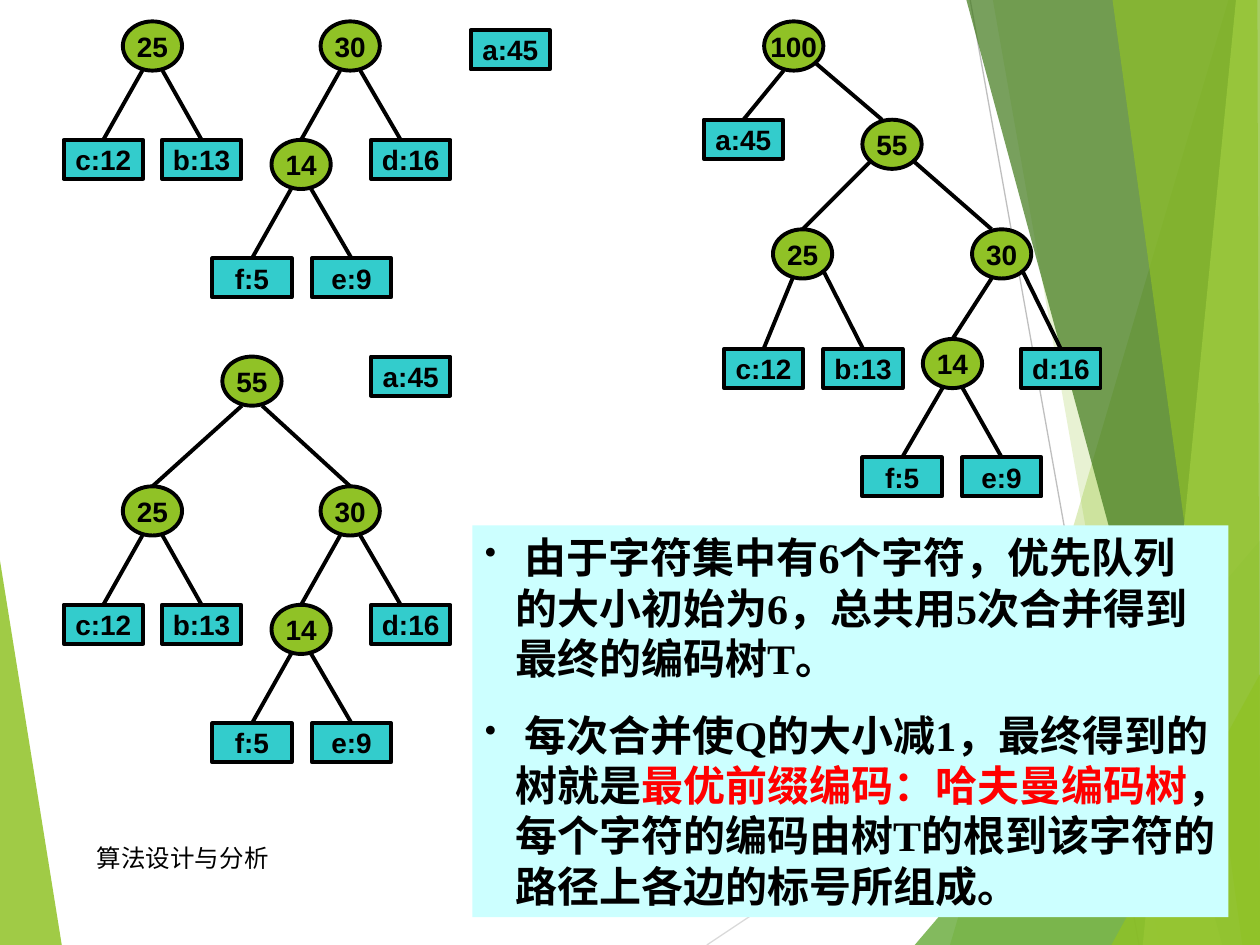
"""Build the Huffman coding slide: three merge stages and their explanation."""
from lxml import etree
from pptx import Presentation
from pptx import util as u
from pptx.dml import color as clr
from pptx.enum import shapes as sh, text as tx
from pptx.oxml import ns

Inches = u.Inches
COLORS = {
    "green": "90C226", "forest": "54A021", "moss": "3F7819", "lime": "C0E474",
    "teal": "33CCCC", "ice": "CCFFFF", "black": "000000", "red": "FF0000",
    "silver": "D9D9D9", "gray": "BFBFBF",
}
NODE_FONT = {"size": u.Pt(16), "name": "Arial", "bold": True}
NOTE_FONT = {"size": u.Pt(24), "name": "Times New Roman", "bold": True}
FOOTER_FONT = {"size": u.Pt(14), "name": "Times New Roman"}

prs = Presentation()
prs.slide_width, prs.slide_height = Inches(10), Inches(7.5)
canvas = prs.slides.add_slide(prs.slide_layouts[6]).shapes


def add_line(start, end, color, width):
    line = canvas.add_connector(sh.MSO_CONNECTOR.STRAIGHT, *map(Inches, start + end))
    line.line.color.rgb = clr.RGBColor.from_string(COLORS[color])
    line.line.width = u.Pt(width)
    etree.SubElement(line._element.spPr, ns.qn("a:effectLst"))


def add_run(paragraph, words, font, color="black"):
    run = paragraph.add_run()
    run.text = words
    for key, value in font.items():
        setattr(run.font, key, value)
    run.font.color.rgb = clr.RGBColor.from_string(COLORS[color])


facets = [
    ("green", 85, [(0, 4.45), (0.49, 7.5), (0, 7.5)]),
    ("green", 30, [(9.75, 0), (7.54, 7.5), (10, 7.5), (10, 0)]),
    ("green", 20, [(7.88, 0), (9.2, 7.5), (10, 7.5), (10, 0)]),
    ("forest", 72, [(7.26, 7.5), (10, 4.29), (10, 7.5)]),
    ("moss", 70, [(7.67, 0), (9.7, 7.5), (10, 7.5), (10, 0)]),
    ("lime", 70, [(9.81, 0), (9.07, 7.5), (10, 7.5), (10, 0)]),
    ("green", 65, [(8.83, 0), (9.86, 7.5), (10, 7.5), (9.98, 0)]),
    ("green", 80, [(8.82, 7.5), (10, 5.35), (10, 7.5)]),
]
for index, (color, opacity, corners) in enumerate(facets):
    if index == 1:
        add_line((5.61, 7.5), (10, 4.57), "silver", 0.75)
        add_line((7.7, 0), (9.04, 7.5), "gray", 0.75)
    first, *others = [(Inches(x), Inches(y)) for x, y in corners]
    outline = canvas.build_freeform(*first)
    outline.add_line_segments(others)
    facet = outline.convert_to_shape()
    facet.shadow.inherit = False
    facet.line.fill.background()
    facet.fill.solid()
    facet.fill.fore_color.rgb = clr.RGBColor.from_string(COLORS[color])
    tint = facet._element.spPr.find(".//" + ns.qn("a:srgbClr"))
    etree.SubElement(tint, ns.qn("a:alpha"), val=str(opacity * 1000))

footer = canvas.add_textbox(Inches(0.67), Inches(6.61), Inches(5.06), Inches(0.4)).text_frame
footer.word_wrap = True
footer.vertical_anchor = tx.MSO_ANCHOR.MIDDLE
add_run(footer.paragraphs[0], "算法设计与分析", FOOTER_FONT)

LEVEL = 0.94
pair = {
    "25": (1.21, 0), "30": (2.78, 0),
    "c:12": (0.82, LEVEL), "b:13": (1.6, LEVEL), "14": (2.39, LEVEL), "d:16": (3.26, LEVEL),
    "f:5": (2, 2 * LEVEL), "e:9": (2.79, 2 * LEVEL),
}
stages = [{label: (x, top + y) for label, (x, y) in pair.items()} for top in (0.17, 3.86)]
stages[0]["a:45"] = (4.05, 0.24)
stages[1].update({"a:45": (3.26, 2.83), "55": (2, 2.83)})
stages.append({
    "100": (6.3, 0.17), "a:45": (5.9, 0.95), "55": (7.08, 0.95),
    "25": (6.37, 1.82), "30": (7.95, 1.82),
    "c:12": (6.06, 2.77), "b:13": (6.85, 2.77), "14": (7.56, 2.69), "d:16": (8.42, 2.77),
    "f:5": (7.16, 3.63), "e:9": (7.95, 3.63),
})

JOINTS = {"foot": (0.08, 0.39, 0), "inner": (0.08, 0.39, -0.08),
          "side": (0.16, 0.32, 0), "slant": (0.16, 0.32, -0.08)}
shared = [("25", "c:12", "foot"), ("30", "14", "foot"), ("14", "f:5", "foot"), ("14", "e:9", "foot")]
early = shared + [("25", "b:13", "foot"), ("30", "d:16", "inner")]
branches = [
    early,
    early + [("55", "25", "foot"), ("55", "30", "foot")],
    shared + [("100", "a:45", "foot"), ("100", "55", "slant"), ("55", "25", "side"),
              ("55", "30", "slant"), ("25", "b:13", "side"), ("30", "d:16", "side")],
]

for nodes, edges in zip(stages, branches):
    for label, (x, top) in nodes.items():
        leaf = ":" in label
        kind = sh.MSO_SHAPE.RECTANGLE if leaf else sh.MSO_SHAPE.OVAL
        width, height = (0.63, 0.31) if leaf else (0.47, 0.39)
        node = canvas.add_shape(kind, *map(Inches, (x - width / 2, top, width, height)))
        node.shadow.inherit = False
        node.fill.solid()
        node.fill.fore_color.rgb = clr.RGBColor.from_string(COLORS["teal" if leaf else "green"])
        node.line.color.rgb = clr.RGBColor.from_string(COLORS["black"])
        node.line.width = u.Pt(2.25)
        node.text_frame.word_wrap = False
        node.text_frame.vertical_anchor = tx.MSO_ANCHOR.MIDDLE
        caption = node.text_frame.paragraphs[0]
        caption.alignment = tx.PP_ALIGN.CENTER
        add_run(caption, label, NODE_FONT)
    for parent, child, joint in edges:
        (px, py), (cx, cy) = nodes[parent], nodes[child]
        across, down, shift = JOINTS[joint]
        side = 1 if cx > px else -1
        add_line((px + side * across, py + down), (cx + shift, cy), "black", 2.25)

note = canvas.add_shape(sh.MSO_SHAPE.RECTANGLE, Inches(3.75), Inches(4.17), Inches(6), Inches(3.11))
note.shadow.inherit = False
note.fill.solid()
note.fill.fore_color.rgb = clr.RGBColor.from_string(COLORS["ice"])
note.line.fill.background()
note.text_frame.word_wrap = True
note.text_frame.vertical_anchor = tx.MSO_ANCHOR.TOP
remarks = [
    [(" 由于字符集中有6个字符，优先队列的大小初始为6，总共用5次合并得到最终的编码树T。", "black")],
    [(" 每次合并使Q的大小减1，最终得到的树就是", "black"),
     ("最优前缀编码：哈夫曼编码树", "red"),
     ("，每个字符的编码由树T的根到该字符的路径上各边的标号所组成。", "black")],
]
for index, remark in enumerate(remarks):
    point = note.text_frame.add_paragraph() if index else note.text_frame.paragraphs[0]
    point.alignment = tx.PP_ALIGN.LEFT
    if index:
        point.space_before = u.Pt(15)
    layout = point._p.get_or_add_pPr()
    layout.set("marL", str(Inches(0.24)))
    layout.set("indent", str(-Inches(0.24)))
    bullet_color = etree.SubElement(layout, ns.qn("a:buClr"))
    etree.SubElement(bullet_color, ns.qn("a:srgbClr"), val=COLORS["black"])
    etree.SubElement(layout, ns.qn("a:buSzPct"), val="80000")
    etree.SubElement(layout, ns.qn("a:buChar"), char="•")
    for words, color in remark:
        add_run(point, words, NOTE_FONT, color)

prs.save("out.pptx")
